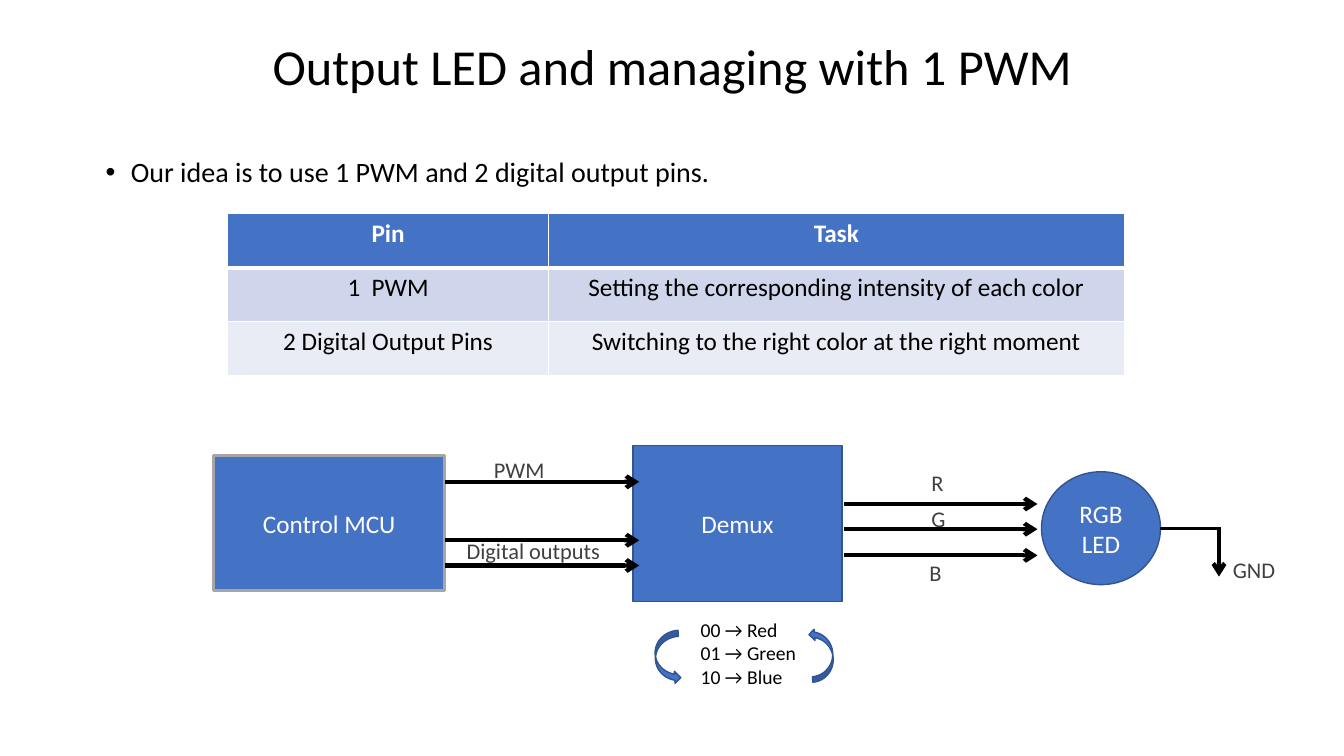
from lxml import etree
from pptx import Presentation
from pptx.dml.color import RGBColor
from pptx.enum.shapes import MSO_CONNECTOR, MSO_SHAPE
from pptx.enum.text import MSO_ANCHOR, PP_ALIGN
from pptx.oxml.ns import qn
from pptx.util import Pt

PX = 9144
FONT = "Calibri"
BLACK = RGBColor(0x00, 0x00, 0x00)
WHITE = RGBColor(0xFF, 0xFF, 0xFF)
BLUE = RGBColor(0x44, 0x72, 0xC4)
NAVY = RGBColor(0x32, 0x54, 0x91)
GREY = RGBColor(0xA6, 0xA6, 0xA6)
DARK = RGBColor(0x40, 0x40, 0x40)
BAND = RGBColor(0xCF, 0xD5, 0xEA)
PALE = RGBColor(0xE9, 0xEB, 0xF5)
LEFT, CENTER = PP_ALIGN.LEFT, PP_ALIGN.CENTER
TOP, MIDDLE = MSO_ANCHOR.TOP, MSO_ANCHOR.MIDDLE
RECT, OVAL = MSO_SHAPE.RECTANGLE, MSO_SHAPE.OVAL
CURVE = MSO_SHAPE.CURVED_RIGHT_ARROW
STRAIGHT = MSO_CONNECTOR.STRAIGHT


def emu(*sizes):
    """Turn px lengths into EMU."""
    return [size * PX for size in sizes]


def write(frame, text, size=18, color=BLACK, bold=False, align=LEFT, space=None):
    """Fill a text frame, one paragraph for each line of text."""
    for i, line in enumerate(text.split("\n")):
        para = frame.add_paragraph() if i else frame.paragraphs[0]
        para.alignment = align
        para.line_spacing = space
        run = para.add_run()
        run.text = line
        run.font.name = FONT
        run.font.size = Pt(size)
        run.font.bold = bold
        run.font.color.rgb = color


def add_text(slide, box, text, wrap=False, **form):
    """Add a text box and return its frame."""
    frame = slide.shapes.add_textbox(*emu(*box)).text_frame
    frame.word_wrap = wrap
    write(frame, text, **form)
    return frame


def add_block(slide, kind, box, text="", edge=NAVY, width=1, turn=0):
    """Add a blue shape with centred white text."""
    shape = slide.shapes.add_shape(kind, *emu(*box))
    shape.shadow.inherit = False
    shape.rotation = turn
    shape.fill.solid()
    shape.fill.fore_color.rgb = BLUE
    shape.line.color.rgb = edge
    shape.line.width = Pt(width)
    if text:
        shape.text_frame.vertical_anchor = MIDDLE
        write(shape.text_frame, text, color=WHITE, align=CENTER)


def add_wire(slide, start, end, width=3, head=True):
    """Add a black line, with an arrowhead at its end if wanted."""
    wire = slide.shapes.add_connector(STRAIGHT, *emu(*start, *end))
    wire.line.color.rgb = BLACK
    wire.line.width = Pt(width)
    props = wire.element.spPr
    if head:
        etree.SubElement(props.find(qn("a:ln")), qn("a:tailEnd"), type="arrow")
    etree.SubElement(props, qn("a:effectLst"))


def add_title(slide, box):
    """Place the slide title."""
    title = slide.shapes.title
    title.left, title.top, title.width, title.height = emu(*box)
    title.text_frame.vertical_anchor = MIDDLE
    write(title.text_frame, "Output LED and managing with 1 PWM",
          size=36, align=CENTER, space=0.9)


def add_point(slide, box):
    """Place the bullet above the table."""
    frame = add_text(slide, box, "Our idea is to use 1 PWM and 2 digital output pins.",
                     wrap=True, size=20, space=0.9)
    props = frame.paragraphs[0]._p.get_or_add_pPr()
    props.set("marL", str(25 * PX))
    props.set("indent", str(-25 * PX))
    etree.SubElement(props, qn("a:buFont"), typeface="Arial")
    etree.SubElement(props, qn("a:buChar"), char="•")


def add_edges(cell, top, low):
    """Draw white borders round a table cell."""
    props = cell._tc.get_or_add_tcPr()
    edges = (("lnL", 1), ("lnR", 1), ("lnT", top), ("lnB", low))
    for i, (name, width) in enumerate(edges):
        edge = etree.Element(qn(f"a:{name}"), w=str(Pt(width)))
        fill = etree.SubElement(edge, qn("a:solidFill"))
        etree.SubElement(fill, qn("a:srgbClr"), val=str(WHITE))
        props.insert(i, edge)


def add_pins(slide, box):
    """Place the table of pins and tasks."""
    rows = (
        ("Pin", "Task", BLUE),
        ("1  PWM", "Setting the corresponding intensity of each color", BAND),
        ("2 Digital Output Pins", "Switching to the right color at the right moment", PALE),
    )
    table = slide.shapes.add_table(len(rows), 2, *emu(*box)).table
    table.horz_banding = False
    first = 318
    table.columns[0].width, table.columns[1].width = emu(first, box[2] - first)
    for r, (pin, task, fill) in enumerate(rows):
        for c, text in enumerate((pin, task)):
            cell = table.cell(r, c)
            cell.vertical_anchor = TOP
            cell.fill.solid()
            cell.fill.fore_color.rgb = fill
            write(cell.text_frame, text, color=BLACK if r else WHITE,
                  bold=r == 0, align=CENTER)
            add_edges(cell, 3 if r == 1 else 1, 1 if r else 3)


def add_scheme(slide, box):
    """Place the wiring from the chip through the demux to the LED."""
    left, top = box[:2]

    def at(x, y, *size):
        """Shift a place into the box."""
        return left + x, top + y, *size

    add_block(slide, RECT, at(0, 10, 229, 134), "Control MCU", GREY, 2.25)
    add_block(slide, RECT, at(416, 0, 207, 155), "Demux")
    add_block(slide, OVAL, at(821, 26, 118, 112), "RGB\nLED")
    for x, end, rows in ((229, 422, (36, 94, 119)), (625, 817, (58, 83, 109))):
        for y in rows:
            add_wire(slide, at(x, y), at(end, y))
    add_wire(slide, at(939, 82), at(998, 82), 2.25, False)
    add_wire(slide, at(997, 81), at(997, 130))
    labels = (
        ("PWM", 268, 6, 71), ("Digital outputs", 241, 86, 154),
        ("R", 702, 19, 32), ("G", 702, 54, 34), ("B", 700, 108, 32),
        ("GND", 1001, 105, 63),
    )
    for text, x, y, width in labels:
        add_text(slide, at(x, y, width, 37), text, size=16, color=DARK)
    add_text(slide, at(473, 166, 121, 81), "00 → Red\n01 → Green\n10 → Blue",
             wrap=True, size=14)
    add_block(slide, CURVE, at(592, 181, 22, 53), turn=175.3)
    add_block(slide, CURVE, at(438, 184, 24, 53), turn=356.6)


def main():
    """Build the slide and save it."""
    deck = Presentation()
    deck.slide_width, deck.slide_height = emu(1333, 750)
    slide = deck.slides.add_slide(deck.slide_layouts[5])
    add_title(slide, (92, -4, 1150, 145))
    add_point(slide, (95, 152, 1150, 45))
    add_pins(slide, (226, 212, 889, 161))
    add_scheme(slide, (212, 442, 1064, 247))
    deck.save("out.pptx")


if __name__ == "__main__":
    main()
